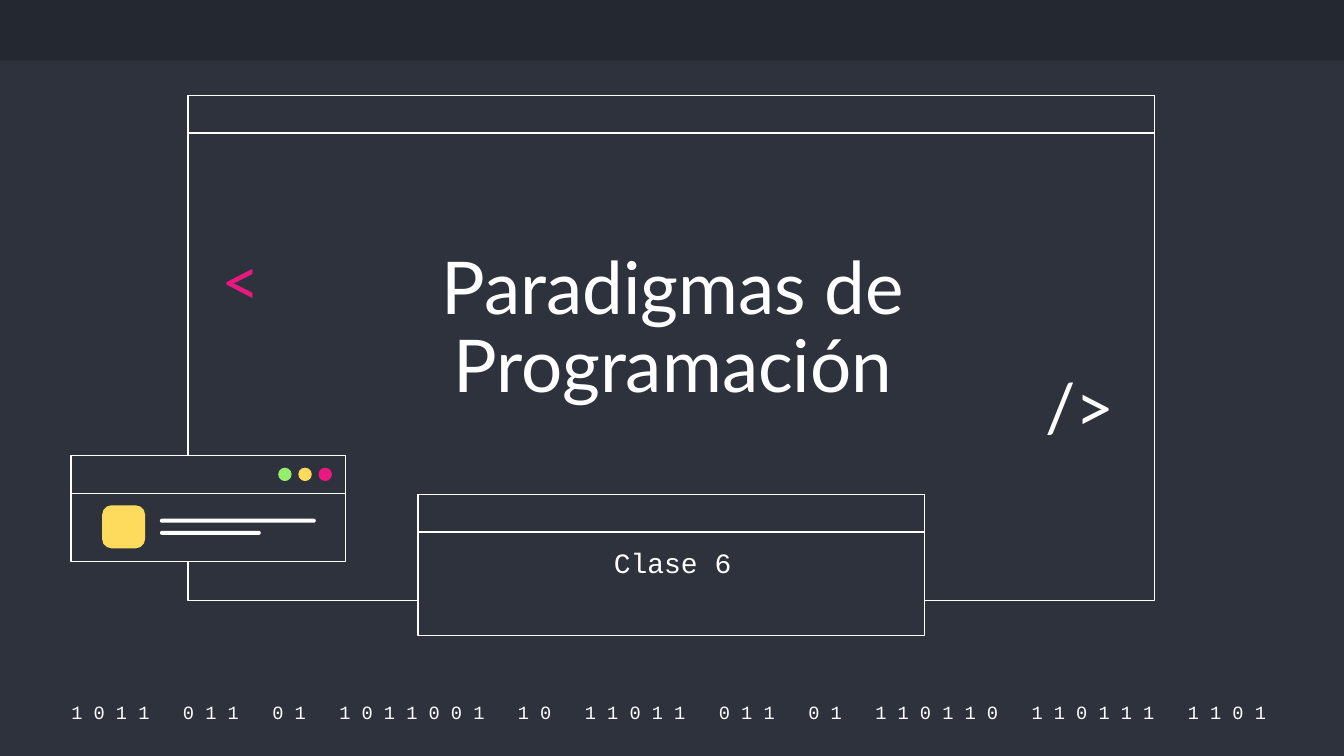
from pptx import Presentation
from pptx.dml.color import RGBColor
from pptx.enum.shapes import MSO_SHAPE as Kind
from pptx.enum.text import MSO_ANCHOR as Anchor, PP_ALIGN as Align
from pptx.util import Inches, Pt

DARK, NAVY, WHITE = "242830", "2D323C", "FFFFFF"
PINK, GOLD, GREEN = "E81981", "FFDB5D", "94EE6B"
BAR = 0.28
BITS = "1011 011 01 1011001 10 11011 011 01 110110 110111 1101"
CODE = {"name": "Courier New", "size": Pt(10)}
MARK = {"name": "Lato", "size": Pt(36)}
HEAD = {"name": "Lato", "size": Pt(39)}
SUB = {"name": "Courier New", "size": Pt(15)}


def tint(code):
    """Turn a hex string into a colour."""
    return RGBColor.from_string(code)


def block(slide, box, fill, kind=Kind.RECTANGLE, line=None, curve=None):
    """Draw one filled shape in the box."""
    shape = slide.shapes.add_shape(kind, *map(Inches, box))
    shape.shadow.inherit = False
    shape.fill.solid()
    shape.fill.fore_color.rgb = tint(fill)
    if line:
        shape.line.color.rgb = tint(line)
        shape.line.width = Pt(0.75)
    else:
        shape.line.fill.background()
    if curve is not None:
        shape.adjustments[0] = curve


def style(run, form, color):
    """Apply font values to a run."""
    for key, value in form.items():
        setattr(run.font, key, value)
    run.font.color.rgb = tint(color)


def label(slide, box, words, form, color=WHITE, anchor=Anchor.MIDDLE,
          align=Align.CENTER, space=1.0):
    """Write the words in the box and return the paragraph."""
    frame = slide.shapes.add_textbox(*map(Inches, box)).text_frame
    pad = Inches(0.1)
    values = {"word_wrap": True, "vertical_anchor": anchor,
              "margin_left": pad, "margin_right": pad,
              "margin_top": pad, "margin_bottom": pad}
    for key, value in values.items():
        setattr(frame, key, value)
    para = frame.paragraphs[0]
    para.alignment, para.line_spacing = align, space
    run = para.add_run()
    run.text = words
    style(run, form, color)
    return para


def window(slide, box):
    """Draw an outlined window with a title bar."""
    left, top, width, _ = box
    block(slide, box, NAVY, line=WHITE)
    block(slide, (left, top, width, BAR), NAVY, line=WHITE)


def main_win(slide, box):
    """Draw the main window with its tag marks and title."""
    left, top, _, _ = box
    window(slide, box)
    for x, y, words, color in ((0.15, 1.08, "<", PINK), (6.28, 2.02, "/>", WHITE)):
        label(slide, (left + x, top + y, 0.77, 0.66), words, MARK, color,
              align=Align.LEFT, space=0.9)
    label(slide, (left + 0.86, top + 1.11, 5.49, 1.32),
          "Paradigmas de Programación", HEAD, anchor=Anchor.BOTTOM, space=0.9)


def sub_win(slide, box):
    """Draw the window that holds the subtitle."""
    left, top, width, _ = box
    window(slide, box)
    label(slide, (left + 0.23, top + BAR, width - 0.44, 0.78), "Clase 6", SUB,
          anchor=Anchor.TOP)


def mini_win(slide, box):
    """Draw the small window with dots, a tile and two lines."""
    left, top, width, height = box
    block(slide, (left, top + BAR, width, height - BAR), NAVY, line=WHITE)
    block(slide, (left, top, width, BAR), NAVY, line=WHITE)
    block(slide, (left + 0.23, top + 0.37, 0.32, 0.32), GOLD,
          Kind.ROUNDED_RECTANGLE, curve=0.22)
    for y, length in ((0.47, 1.16), (0.56, 0.75)):
        block(slide, (left + 0.66, top + y, length, 0.03), WHITE,
              Kind.ROUNDED_RECTANGLE, curve=0.5)
    for i, color in enumerate((GREEN, GOLD, PINK)):
        block(slide, (left + 1.54 + 0.15 * i, top + 0.09, 0.1, 0.1), color, Kind.OVAL)


def bit_row(slide, box):
    """Write the groups of bits, with a wide gap between groups."""
    first, *rest = (" ".join(group) for group in BITS.split())
    para = label(slide, box, first, CODE)
    for group in rest:
        gap, run = para.add_run(), para.add_run()
        gap.text, run.text = " ", group
        style(gap, CODE, WHITE)
        style(run, CODE, WHITE)
        gap.font._element.set("spc", "1200")


def main():
    """Build the slide and save it."""
    deck = Presentation()
    deck.slide_width = Inches(10)
    deck.slide_height = deck.slide_width * 9 // 16
    slide = deck.slides.add_slide(deck.slide_layouts[6])
    back = slide.background.fill
    back.solid()
    back.fore_color.rgb = tint(NAVY)
    block(slide, (0, 0, 10, 0.45), DARK)
    bit_row(slide, (0.34, 5.2, 9.27, 0.2))
    main_win(slide, (1.4, 0.71, 7.19, 3.76))
    sub_win(slide, (3.11, 3.68, 3.77, 1.05))
    mini_win(slide, (0.53, 3.39, 2.04, 0.79))
    deck.save("out.pptx")


if __name__ == "__main__":
    main()
